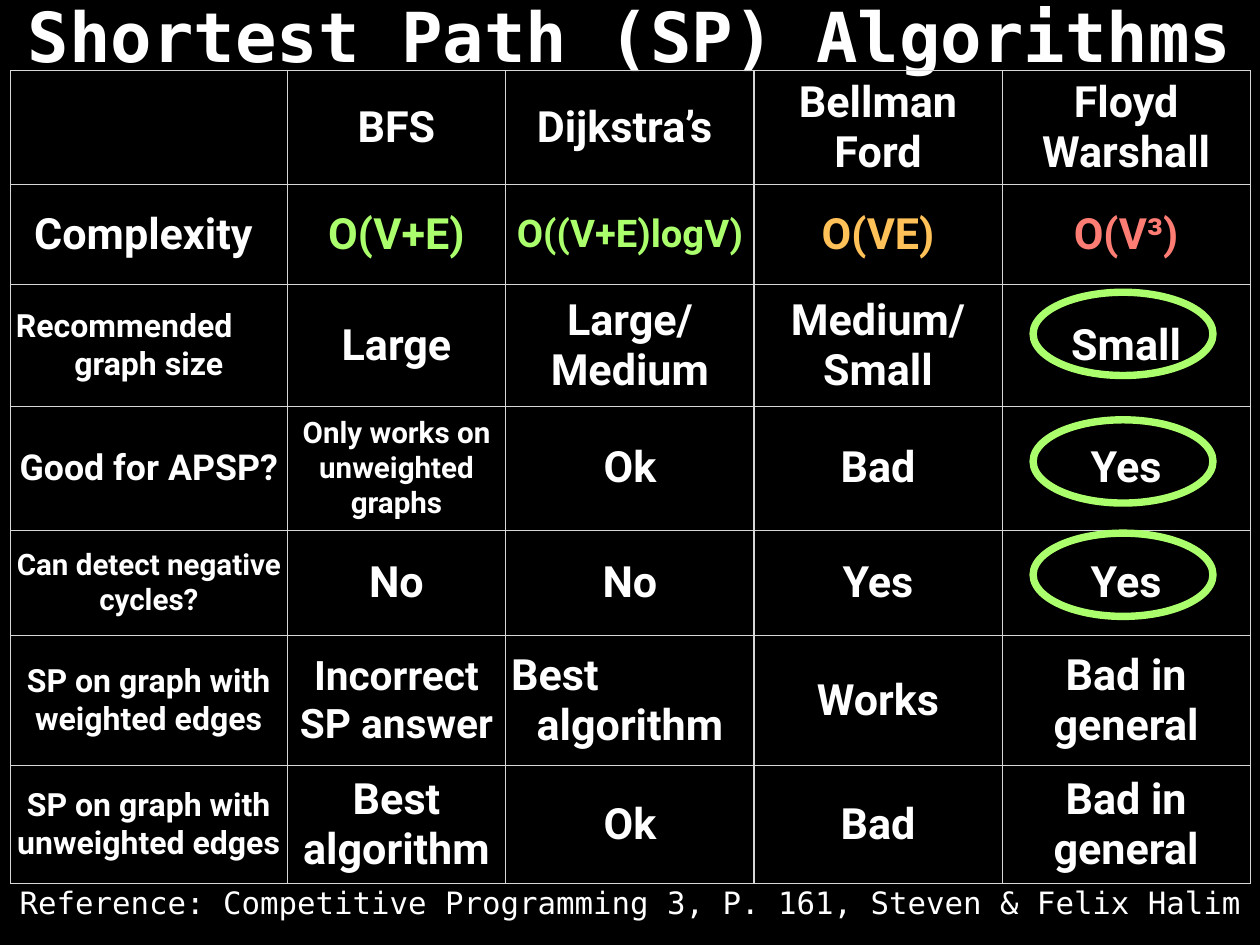
"""Build a slide comparing shortest path algorithms in a table."""
from lxml.etree import SubElement
from pptx import Presentation
from pptx.dml.color import RGBColor
from pptx.enum.shapes import MSO_SHAPE
from pptx.enum.text import MSO_ANCHOR, MSO_AUTO_SIZE, PP_ALIGN
from pptx.oxml.ns import qn
from pptx.util import Inches, Pt

BLACK = RGBColor(0x00, 0x00, 0x00)
WHITE = RGBColor(0xFF, 0xFF, 0xFF)
GREEN = RGBColor(0xAB, 0xFF, 0x6D)
ORANGE = RGBColor(0xFF, 0xC1, 0x58)
RED = RGBColor(0xFD, 0x7D, 0x74)
GRID = RGBColor(0xD6, 0xD7, 0xD6)
INSET = Inches(0.06)


def write(frame, text, size=35, color=WHITE, font="Roboto", bold=True):
    """Fill a text frame; the first of two lines starts at the left."""
    frame.text = text
    frame.word_wrap = True
    for paragraph in frame.paragraphs:
        paragraph.alignment = PP_ALIGN.CENTER
        style = paragraph.runs[0].font
        style.size, style.name, style.bold = Pt(size), font, bold
        style.color.rgb = color
    if len(frame.paragraphs) > 1:
        frame.paragraphs[0].alignment = PP_ALIGN.LEFT


def outline(cell):
    """Draw the four borders of a table cell."""
    properties = cell._tc.get_or_add_tcPr()
    for side in ("a:lnL", "a:lnR", "a:lnT", "a:lnB"):
        border = SubElement(properties, qn(side), w=str(Pt(1)))
        SubElement(SubElement(border, qn("a:solidFill")), qn("a:srgbClr"), val=str(GRID))


presentation = Presentation()
presentation.slide_width = Inches(14.22)
presentation.slide_height = Inches(10.67)
slide = presentation.slides.add_slide(presentation.slide_layouts[5])
slide.background.fill.solid()
slide.background.fill.fore_color.rgb = BLACK

heading = slide.shapes.title
heading.left, heading.top = Inches(0), Inches(-0.12)
heading.width, heading.height = Inches(14.22), Inches(1.02)
write(heading.text_frame, "Shortest Path (SP) Algorithms", size=56, font="DejaVu Sans Mono")

reference = slide.shapes.add_textbox(Inches(0), Inches(9.93), Inches(14.22), Inches(0.51))
write(reference.text_frame, "Reference: Competitive Programming 3, P. 161, Steven & Felix Halim",
      size=25, font="DejaVu Sans Mono", bold=False)

for frame in (heading.text_frame, reference.text_frame):
    frame.margin_left = frame.margin_right = INSET
    frame.margin_top = frame.margin_bottom = INSET
    frame.vertical_anchor = MSO_ANCHOR.MIDDLE
    frame.auto_size = MSO_AUTO_SIZE.NONE
reference.text_frame.auto_size = MSO_AUTO_SIZE.SHAPE_TO_FIT_TEXT

comparison = [
    ["", "BFS", "Dijkstra’s ", "Bellman Ford", "Floyd Warshall"],
    ["Complexity ", "O(V+E)", "O((V+E)logV)", "O(VE)", "O(V³)"],
    ["Recommended \ngraph size", "Large", "Large/Medium", "Medium/Small", "Small"],
    ["Good for APSP?", "Only works on unweighted graphs", "Ok", "Bad", "Yes"],
    ["Can detect negative cycles?", "No", "No", "Yes", "Yes"],
    ["SP on graph with weighted edges", "Incorrect SP answer", "Best\nalgorithm", "Works",
     "Bad in general"],
    ["SP on graph with unweighted edges", "Best algorithm", "Ok", "Bad", "Bad in general"],
]
column_widths = [3.12, 2.47, 2.8, 2.8, 2.8]
row_heights = [1.17, 1.13, 1.37, 1.4, 1.19, 1.47, 1.33]
sizes = {(1, 2): 31, (2, 0): 26, (3, 0): 29, (3, 1): 24, (4, 0): 24,
         (5, 0): 26, (5, 1): 33, (6, 0): 26}
complexity_colors = {(1, 1): GREEN, (1, 2): GREEN, (1, 3): ORANGE, (1, 4): RED}

table = slide.shapes.add_table(len(row_heights), len(column_widths), Inches(0.12), Inches(0.8),
                               Inches(13.99), Inches(9.07)).table
table.first_row = table.horz_banding = False
for column, width in zip(table.columns, column_widths):
    column.width = Inches(width)
for row, height in zip(table.rows, row_heights):
    row.height = Inches(height)

for row_index, entries in enumerate(comparison):
    for column_index, entry in enumerate(entries):
        place = row_index, column_index
        cell = table.cell(*place)
        outline(cell)
        cell.fill.background()
        cell.vertical_anchor = MSO_ANCHOR.MIDDLE
        cell.margin_left = cell.margin_right = INSET
        cell.margin_top = cell.margin_bottom = INSET
        if entry:
            write(cell.text_frame, entry, size=sizes.get(place, 35),
                  color=complexity_colors.get(place, WHITE))

for top in (3.3, 4.74, 6.02):
    highlight = slide.shapes.add_shape(MSO_SHAPE.OVAL, Inches(11.66), Inches(top),
                                       Inches(2.03), Inches(0.94))
    highlight.shadow.inherit = False
    highlight.fill.background()
    highlight.line.color.rgb = GREEN
    highlight.line.width = Pt(6)

presentation.save("out.pptx")
